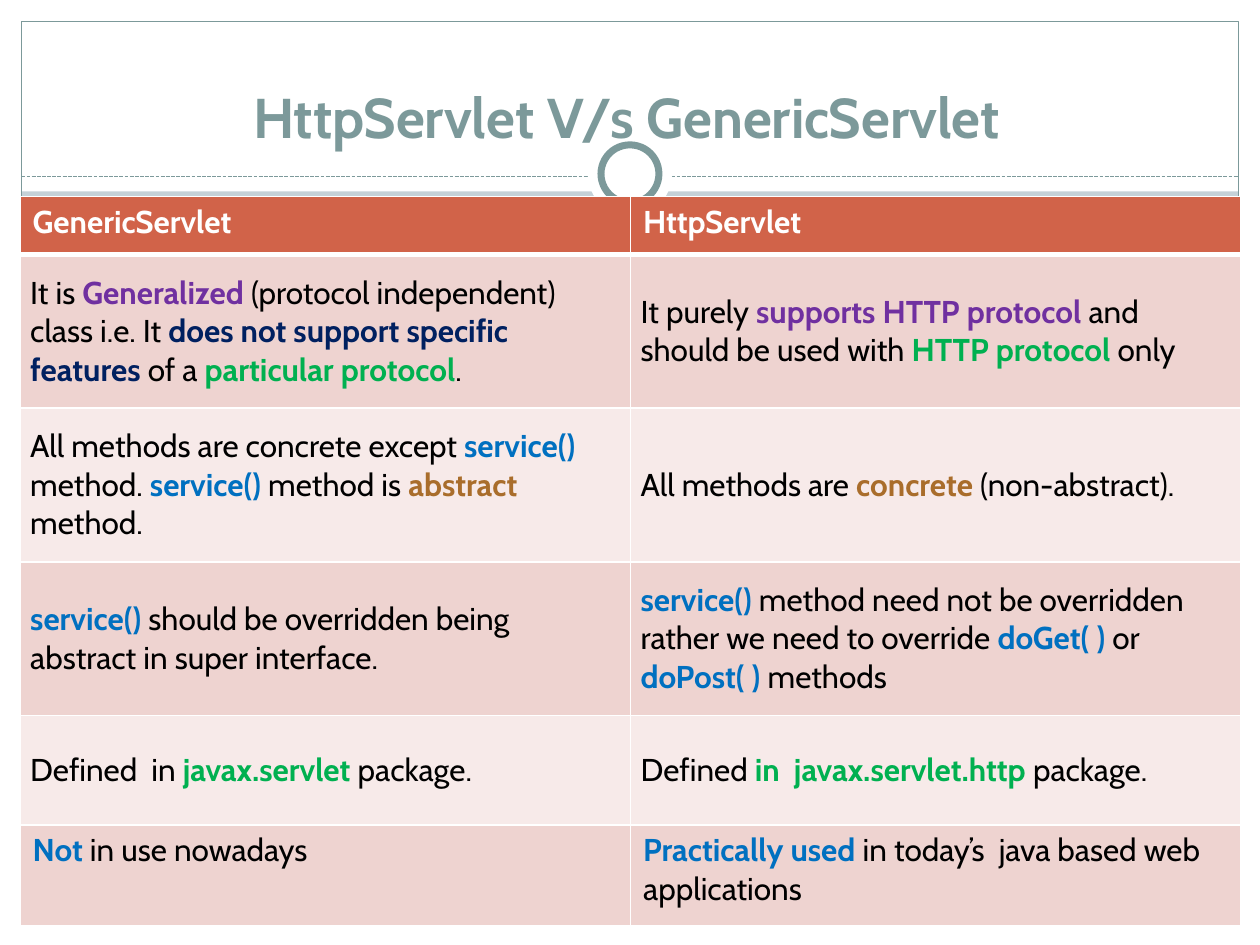
from lxml.etree import SubElement
from pptx import Presentation
from pptx.dml.color import RGBColor
from pptx.enum.dml import MSO_LINE
from pptx.enum.shapes import MSO_CONNECTOR, MSO_SHAPE
from pptx.enum.text import MSO_ANCHOR, PP_ALIGN
from pptx.oxml import parse_xml
from pptx.oxml.ns import nsdecls, qn
from pptx.util import Inches, Pt

FONT = "Cabin"
WIDTH, HEIGHT = 10, 7.5
MARGIN = 0.17
HEADER_H = 1.52
RULE_Y = 1.4

WHITE = RGBColor(0xFF, 0xFF, 0xFF)
BLACK = RGBColor(0, 0, 0)
BACKGROUND = RGBColor(0xC5, 0xD1, 0xD7)
FOOTER = RGBColor(0x8C, 0xAD, 0xAE)
TEAL = RGBColor(0x7C, 0x99, 0x9A)
HEADING = RGBColor(0xD1, 0x63, 0x49)
BANDS = (RGBColor(0xEE, 0xD3, 0xD0), RGBColor(0xF7, 0xEA, 0xE9))
PURPLE = RGBColor(0x70, 0x30, 0xA0)
NAVY = RGBColor(0x00, 0x20, 0x60)
GREEN = RGBColor(0x00, 0xB0, 0x50)
BLUE = RGBColor(0x00, 0x70, 0xC0)
BROWN = RGBColor(0xA9, 0x6D, 0x2B)

ROW_HEIGHTS = (0.46, 1.22, 1.22, 1.22, 0.87, 0.8)
HEADINGS = ("GenericServlet", "HttpServlet")
# A plain string is body text; a (text, colour) pair is a bold highlight.
COMPARISON = (
    (("It is ", ("Generalized ", PURPLE),
      "(protocol independent) class i.e. It ",
      ("does not support specific features ", NAVY), "of a ",
      ("particular protocol", GREEN), "."),
     ("It purely ", ("supports HTTP protocol ", PURPLE),
      "and should be used with ", ("HTTP protocol ", GREEN), "only")),
    (("All methods are concrete except ", ("service() ", BLUE), "method. ",
      ("service() ", BLUE), "method is ", ("abstract", BROWN), " method."),
     ("All methods are ", ("concrete", BROWN), " (non-abstract).")),
    ((("service() ", BLUE),
      "should be overridden being abstract in super interface."),
     (("service() ", BLUE),
      "method need not be overridden rather we need to override ",
      ("doGet( ) ", BLUE), "or ", ("doPost( ) ", BLUE), "methods")),
    (("Defined  in ", ("javax.servlet", GREEN), " package."),
     ("Defined ", ("in  javax.servlet.http ", GREEN), "package.")),
    ((("Not ", BLUE), "in use nowadays"),
     (("Practically used ", BLUE), "in today’s  java based web applications")),
)


def add_panel(s, box, fill=None, line=None, weight=0.75, kind=MSO_SHAPE.RECTANGLE):
    sp = s.shapes.add_shape(kind, *map(Inches, box))
    sp.shadow.inherit = False
    if fill is None:
        sp.fill.background()
    else:
        sp.fill.solid()
        sp.fill.fore_color.rgb = fill
    if line is None:
        sp.line.fill.background()
    else:
        sp.line.color.rgb = line
        sp.line.width = Pt(weight)


def add_circle(s, centre_y, size, **style):
    box = ((WIDTH - size) / 2, centre_y - size / 2, size, size)
    add_panel(s, box, kind=MSO_SHAPE.OVAL, **style)


def add_dashed_rule(s, y):
    rule = s.shapes.add_connector(MSO_CONNECTOR.STRAIGHT, Inches(MARGIN), Inches(y),
                                  Inches(WIDTH - MARGIN), Inches(y))
    rule.line.color.rgb = TEAL
    rule.line.width = Pt(0.75)
    rule.line.dash_style = MSO_LINE.SQUARE_DOT
    SubElement(rule._element.spPr, qn("a:effectLst"))


def add_frame(s):
    """White margins and header, footer band, outline, dashed rule and ring."""
    inner_w, bottom = WIDTH - 2 * MARGIN, HEIGHT - MARGIN
    for box in ((0, bottom, WIDTH, MARGIN), (0, 0, WIDTH, HEADER_H),
                (0, 0, MARGIN, HEIGHT), (WIDTH - MARGIN, 0, MARGIN, HEIGHT)):
        add_panel(s, box, WHITE)
    add_panel(s, (MARGIN, bottom - 0.34, inner_w, 0.34), FOOTER)
    add_panel(s, (MARGIN, MARGIN, inner_w, bottom - MARGIN), line=TEAL)
    add_dashed_rule(s, RULE_Y)
    add_circle(s, RULE_Y - 0.02, 0.67, fill=WHITE)
    add_circle(s, RULE_Y - 0.02, 0.46, fill=WHITE, line=TEAL, weight=4)


def add_title(s, text):
    box = s.shapes.add_textbox(*map(Inches, (0.31, 0.16, 9.33, 1.08)))
    tf = box.text_frame
    tf.word_wrap = True
    tf.vertical_anchor = MSO_ANCHOR.BOTTOM
    p = tf.paragraphs[0]
    p.text = text
    p.alignment = PP_ALIGN.CENTER
    p.font.name, p.font.size, p.font.bold = FONT, Pt(32), True
    p.font.color.rgb = TEAL


def set_borders(cell, bottom):
    tc_pr = cell._tc.get_or_add_tcPr()
    for i, (side, weight) in enumerate((("L", 1), ("R", 1), ("T", 1), ("B", bottom))):
        tc_pr.insert(i, parse_xml(
            f'<a:ln{side} {nsdecls("a")} w="{Pt(weight)}"><a:solidFill>'
            f'<a:srgbClr val="{WHITE}"/></a:solidFill></a:ln{side}>'))


def fill_cell(cell, parts, fill, bottom=1):
    cell.fill.solid()
    cell.fill.fore_color.rgb = fill
    set_borders(cell, bottom)
    p = cell.text_frame.paragraphs[0]
    p.font.name, p.font.size = FONT, Pt(18)
    for part in parts:
        text, color = (part, BLACK) if isinstance(part, str) else part
        r = p.add_run()
        r.text = text
        r.font.name, r.font.size = FONT, Pt(18)
        r.font.bold = color != BLACK
        r.font.color.rgb = color


def center_cell(cell):
    cell.vertical_anchor = MSO_ANCHOR.MIDDLE
    cell.margin_left = cell.margin_right = Inches(0.08)
    cell.margin_top = cell.margin_bottom = Inches(0.08)


def add_comparison(s):
    rows = len(ROW_HEIGHTS)
    table = s.shapes.add_table(rows, 2, Inches(0.16), Inches(1.56),
                               Inches(9.69), Inches(sum(ROW_HEIGHTS))).table
    for row, height in zip(table.rows, ROW_HEIGHTS):
        row.height = Inches(height)
    for col, heading in enumerate(HEADINGS):
        fill_cell(table.cell(0, col), [(heading, WHITE)], HEADING, bottom=3)
    for i, row in enumerate(COMPARISON, start=1):
        for col, parts in enumerate(row):
            cell = table.cell(i, col)
            fill_cell(cell, parts, BANDS[(i - 1) % 2])
            if i < rows - 1:
                center_cell(cell)


def main():
    prs = Presentation()
    prs.slide_width, prs.slide_height = Inches(WIDTH), Inches(HEIGHT)
    s = prs.slides.add_slide(prs.slide_layouts[6])
    s.background.fill.solid()
    s.background.fill.fore_color.rgb = BACKGROUND
    add_frame(s)
    add_title(s, "HttpServlet V/s GenericServlet")
    add_comparison(s)
    prs.save("out.pptx")


if __name__ == "__main__":
    main()
